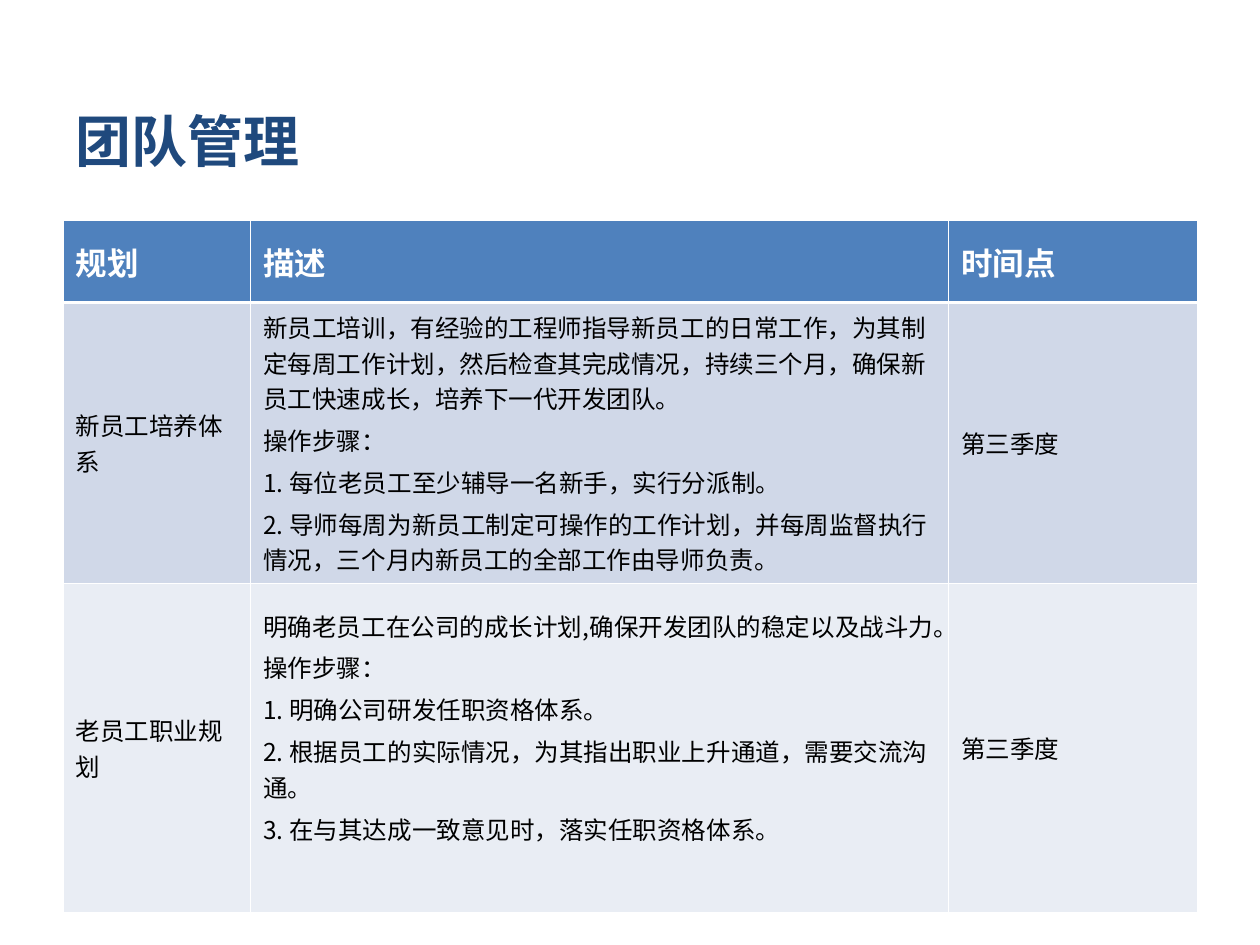
from lxml import etree
from pptx import Presentation
from pptx.dml.color import RGBColor
from pptx.enum.text import MSO_ANCHOR, PP_ALIGN
from pptx.oxml.ns import qn
from pptx.util import Inches, Pt

MIDDLE = MSO_ANCHOR.MIDDLE
LEFT = PP_ALIGN.LEFT

THEME = {
    "title": {"size": 32, "font": "Calibri", "color": "1F497D", "bold": True},
    "header": {"size": 18, "font": "Calibri", "color": "FFFFFF", "bold": True},
    "body": {"size": 14, "font": "Noto Sans CJK SC", "color": "000000", "bold": False},
    "row_fills": ["4F81BD", "D0D8E8", "E9EDF4"],
    "border": "FFFFFF",
    "thin_line": 0.45,
    "thick_line": 1.47,
}

ROWS = [
    [["规划"], ["描述"], ["时间点"]],
    [
        ["新员工培养体系"],
        [
            "新员工培训，有经验的工程师指导新员工的日常工作，为其制定每周工作计划，然后检查其完成情况，持续三个月，确保新员工快速成长，培养下一代开发团队。",
            "操作步骤：",
            "1. 每位老员工至少辅导一名新手，实行分派制。",
            "2. 导师每周为新员工制定可操作的工作计划，并每周监督执行情况，三个月内新员工的全部工作由导师负责。",
        ],
        ["第三季度"],
    ],
    [
        ["老员工职业规划"],
        [
            "明确老员工在公司的成长计划,确保开发团队的稳定以及战斗力。",
            "操作步骤：",
            "1. 明确公司研发任职资格体系。",
            "2. 根据员工的实际情况，为其指出职业上升通道，需要交流沟通。",
            "3. 在与其达成一致意见时，落实任职资格体系。",
        ],
        ["第三季度"],
    ],
]
COLUMN_WIDTHS = [1.49, 5.54, 1.97]
ROW_HEIGHTS = [0.65, 1.88, 2.21]


def write_paragraphs(text_frame, lines, style):
    text_frame.text = "\n".join(lines)
    for index, paragraph in enumerate(text_frame.paragraphs):
        paragraph.alignment = LEFT
        paragraph.space_before = Pt(style["size"] / 4 if index else 0)
        for run in paragraph.runs:
            run.font.size = Pt(style["size"])
            run.font.name = style["font"]
            run.font.bold = style["bold"]
            run.font.color.rgb = RGBColor.from_string(style["color"])


def add_border(cell, side, width):
    properties = cell._tc.get_or_add_tcPr()
    line = etree.SubElement(properties, qn(f"a:ln{side}"), w=str(Pt(width)))
    fill = etree.SubElement(line, qn("a:solidFill"))
    etree.SubElement(fill, qn("a:srgbClr"), val=THEME["border"])


presentation = Presentation()
presentation.slide_width = Inches(10)
presentation.slide_height = Inches(7.5)
slide = presentation.slides.add_slide(presentation.slide_layouts[5])

title = slide.shapes.title
title.left, title.top = Inches(0.5), Inches(0.56)
title.width, title.height = Inches(9), Inches(1.11)
title.text_frame.vertical_anchor = MIDDLE
write_paragraphs(title.text_frame, ["团队管理"], THEME["title"])

table = slide.shapes.add_table(
    len(ROWS), len(COLUMN_WIDTHS), Inches(0.5), Inches(1.75), Inches(9), Inches(4.75)
).table
for column, width in zip(table.columns, COLUMN_WIDTHS):
    column.width = Inches(width)
for row, height in zip(table.rows, ROW_HEIGHTS):
    row.height = Inches(height)

for row_index, row_texts in enumerate(ROWS):
    style = THEME["body"] if row_index else THEME["header"]
    thick_side = {0: "B", 1: "T"}.get(row_index)
    for column_index, lines in enumerate(row_texts):
        cell = table.cell(row_index, column_index)
        cell.vertical_anchor = MIDDLE
        cell.margin_left = cell.margin_right = Inches(0.1)
        cell.margin_top = cell.margin_bottom = Inches(0.05)
        for side in "LRTB":
            add_border(cell, side, THEME["thick_line" if side == thick_side else "thin_line"])
        cell.fill.solid()
        cell.fill.fore_color.rgb = RGBColor.from_string(THEME["row_fills"][row_index])
        write_paragraphs(cell.text_frame, lines, style)

table.cell(2, 1).margin_bottom = Inches(0.38)

presentation.save("out.pptx")
